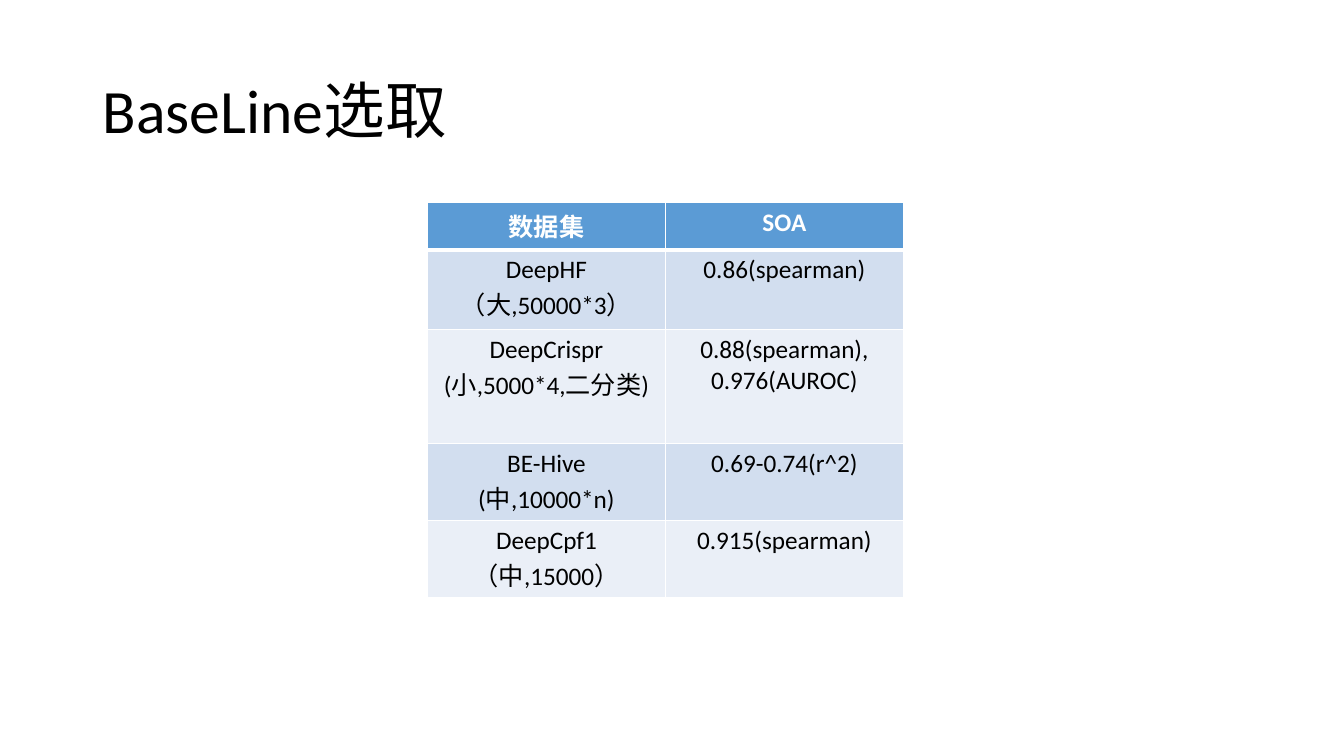
import pptx
import pptx.dml.color
import pptx.enum.text
import pptx.oxml
import pptx.oxml.ns
import pptx.util

Inches = pptx.util.Inches
Pt = pptx.util.Pt
RGBColor = pptx.dml.color.RGBColor
PP_ALIGN = pptx.enum.text.PP_ALIGN

BLACK = RGBColor(0x00, 0x00, 0x00)
WHITE = RGBColor(0xFF, 0xFF, 0xFF)
HEADER_BLUE = RGBColor(0x5B, 0x9B, 0xD5)
BAND_DARK = RGBColor(0xD2, 0xDE, 0xEF)
BAND_LIGHT = RGBColor(0xEA, 0xEF, 0xF7)
FONT = "Calibri"
TITLE_ONLY_LAYOUT = 5

# Each cell is a list of paragraphs.
BASELINES = [
    (["数据集"], ["SOA"]),
    (["DeepHF（大,50000*3）"], ["0.86(spearman)"]),
    (["DeepCrispr", "(小,5000*4,二分类)"], ["0.88(spearman),", "0.976(AUROC)"]),
    (["BE-Hive", "(中,10000*n)"], ["0.69-0.74(r^2)"]),
    (["DeepCpf1", "（中,15000）"], ["0.915(spearman)"]),
]
ROW_HEIGHTS = [0.47, 0.79, 0.75, 0.75, 0.75]


def add_run(paragraph, text, size, color, bold=False):
    """Add one formatted run to a paragraph."""
    run = paragraph.add_run()
    run.text = text
    run.font.name = FONT
    run.font.size = Pt(size)
    run.font.bold = bold
    run.font.color.rgb = color


def add_border(cell, side, width):
    """Draw a white line of the given point width on one side of a cell."""
    cell._tc.get_or_add_tcPr().append(pptx.oxml.parse_xml(
        f'<a:ln{side} {pptx.oxml.ns.nsdecls("a")} w="{Pt(width)}">'
        f'<a:solidFill><a:srgbClr val="{WHITE}"/></a:solidFill></a:ln{side}>'))


def place_title(slide, left, top, width, height):
    """Move the title placeholder into its box and fill it."""
    title = slide.shapes.title
    title.left, title.top = Inches(left), Inches(top)
    title.width, title.height = Inches(width), Inches(height)
    frame = title.text_frame
    frame.word_wrap = True
    frame.auto_size = pptx.enum.text.MSO_AUTO_SIZE.NONE
    frame.vertical_anchor = pptx.enum.text.MSO_ANCHOR.MIDDLE
    paragraph = frame.paragraphs[0]
    paragraph.alignment = PP_ALIGN.LEFT
    paragraph.line_spacing = 0.9
    add_run(paragraph, "BaseLine选取", 44, BLACK)


def fill_cell(cell, lines, row_index):
    """Write and style a cell according to its row."""
    is_header = row_index == 0
    # A thick rule separates the header from the body.
    borders = {"L": 1, "R": 1, "T": 3 if row_index == 1 else 1,
               "B": 3 if is_header else 1}
    for side, width in borders.items():
        add_border(cell, side, width)
    cell.fill.solid()
    band = BAND_DARK if row_index % 2 else BAND_LIGHT
    cell.fill.fore_color.rgb = HEADER_BLUE if is_header else band
    frame = cell.text_frame
    for index, line in enumerate(lines):
        paragraph = frame.add_paragraph() if index else frame.paragraphs[0]
        paragraph.alignment = PP_ALIGN.CENTER
        add_run(paragraph, line, 18, WHITE if is_header else BLACK, is_header)


def add_baseline_table(slide, left, top, width):
    """Add the dataset table with equal columns across the given width."""
    column_count = len(BASELINES[0])
    table = slide.shapes.add_table(
        len(BASELINES), column_count, Inches(left), Inches(top),
        Inches(width), Inches(sum(ROW_HEIGHTS))).table
    for column in table.columns:
        column.width = Inches(width / column_count)
    for row_index, row_cells in enumerate(BASELINES):
        table.rows[row_index].height = Inches(ROW_HEIGHTS[row_index])
        for column_index, lines in enumerate(row_cells):
            fill_cell(table.cell(row_index, column_index), lines, row_index)


def build_baseline_slide(presentation):
    """Build the slide with the title above the baseline table."""
    layout = presentation.slide_layouts[TITLE_ONLY_LAYOUT]
    slide = presentation.slides.add_slide(layout)
    place_title(slide, 0.92, 0.4, 11.5, 1.45)
    add_baseline_table(slide, 4.24, 2.01, 4.72)


presentation = pptx.Presentation()
presentation.slide_width = Inches(13.33)
presentation.slide_height = Inches(7.5)
build_baseline_slide(presentation)
presentation.save("out.pptx")
